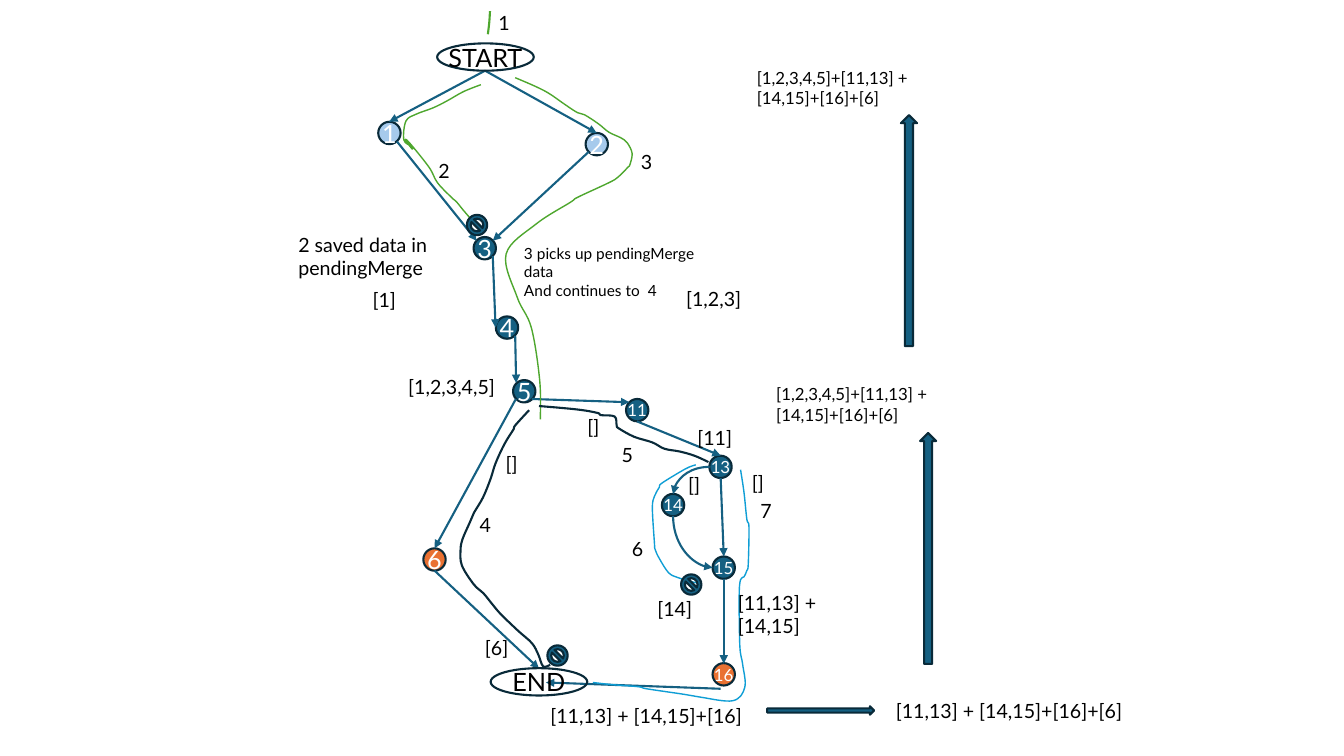
from lxml.etree import SubElement as Sub
from pptx import Presentation as Deck
from pptx.dml.color import RGBColor as Rgb
from pptx.enum.shapes import MSO_CONNECTOR as Link, MSO_SHAPE as Geo
from pptx.enum.text import MSO_ANCHOR as Anchor, MSO_AUTO_SIZE as Fit, PP_ALIGN as Align
from pptx.oxml.ns import qn
from pptx.util import Pt

HUES = {"teal": "156082", "navy": "092A39", "pale": "A6CAEC", "orange": "E97132",
        "green": "4EA72E", "sky": "0F9ED5", "white": "FFFFFF", "black": "000000"}

NODES = [("3", 346.3, 177.3, "teal"), ("1", 278.2, 95, "pale"), ("2", 426.3, 103, "pale"),
         ("4", 362.2, 234, "teal"), ("14", 480.8, 360.8, "teal"), ("5", 374.5, 279.5, "teal"),
         ("11", 455.2, 293, "teal"), ("13", 514.7, 333.5, "teal"), ("15", 517, 405.5, "teal"),
         ("6", 310.4, 399.7, "orange"), ("16", 517, 481.7, "orange")]

EDGES = [(283.5, 101, 340.5, 172), (420.5, 108.5, 352, 172), (352, 183, 354, 234),
         (368, 240, 368.7, 273.5), (380, 285, 449.5, 287.3), (455, 301, 514.8, 325.5),
         (514.8, 341.5, 517, 397.5), (517, 413.5, 517, 474), (368.5, 285, 310.4, 391.7),
         (346.5, 50.5, 278, 87), (346.5, 50.5, 426.2, 95), (310.4, 407.6, 385, 477.5),
         (514.8, 492, 390, 487.5)]

BENDS = [((507, 333.5, 480.8, 353), "a:tailEnd"), ((509, 405.5, 480.8, 368.5), "a:headEnd")]

TRAILS = [
    ("green", 1.5, [(350, 8), (349.5, 16), (348.5, 24.5)]),
    ("green", 1, [(343.5, 60.5), (331, 65.5), (319.5, 72), (309.5, 77), (297.5, 81.5),
                  (290, 86.5), (288.5, 100), (294, 104.5), (294.5, 106.5), (289.5, 100),
                  (292.5, 102), (306.5, 119.5), (312.5, 130.5), (322.5, 141), (326, 144),
                  (330, 149), (335.5, 155.5), (340.5, 162), (344, 165)]),
    ("green", 1, [(368, 55.5), (383, 62), (392.5, 67), (404, 75), (412.5, 80.5),
                  (417.5, 82), (427.5, 88.5), (435, 94.5), (443.5, 98.5), (448, 102),
                  (451.5, 109.5), (450, 117.5), (448.5, 119.5), (441.5, 126.5),
                  (435, 130.5), (412.5, 141), (407.5, 144.5), (383, 160), (361.5, 181.5),
                  (369.5, 212.5), (379.5, 234), (385.5, 271.5), (386, 299.5)]),
    ("navy", 1.5, [(378, 293), (368, 304), (367, 306.5), (360.5, 317), (354, 331),
                   (350.5, 342), (345, 355.5), (338.5, 366.5), (335.5, 373.5),
                   (330.5, 385), (329, 393), (330, 404), (338.5, 417.5), (345.5, 424),
                   (352, 432), (358, 439), (370, 450.5), (380, 459.5), (384.5, 467.5),
                   (388, 476), (393, 475)]),
    ("navy", 1.5, [(385, 290), (412.5, 292.5), (427, 295), (429, 296.5), (439, 297.5),
                   (440.5, 304), (442, 306), (453, 312), (466, 316), (474.5, 320.5),
                   (485.5, 322.5), (496, 325.5), (506, 330)]),
    ("sky", 1, [(497, 332), (489.5, 335), (473, 345), (471, 348), (467.5, 354.5),
                (466, 363), (467.5, 388), (468, 392.5), (471, 399), (477.5, 409),
                (484, 412.5), (496, 416), (501, 416)]),
    ("sky", 1, [(529, 335.5), (531.5, 352), (533.5, 371), (535, 376.5), (534.5, 403),
                (533.5, 407.5), (531.5, 412), (529, 414), (528, 426), (528.5, 461.5),
                (530.5, 474.5), (532, 491), (523.5, 500.5), (500.5, 498), (489, 496),
                (462, 492), (456, 490.5), (437, 489), (423.5, 487.5)])]

SUM = "[1,2,3,4,5]+[11,13] + [14,15]+[16]+[6]"
NOTES = [("1", 349, 4.5, 22, 14), ("2", 306, 110, 22, 14),
         ("2 saved data in pendingMerge", 206, 162.5, 132, 14), ("3", 450.7, 103.3, 15, 14),
         ("3 picks up pendingMerge data\nAnd continues to  4", 367.2, 170.5, 143, 11),
         ("4", 335.5, 362.5, 15, 14), ("5", 437, 313, 15, 14), ("6", 444.3, 380, 15, 14),
         ("7", 536, 353, 15, 14), ("[1]", 259, 202, 38, 14),
         ("[1,2,3]", 483, 201.3, 65, 14), ("[1,2,3,4,5]", 284.5, 264, 91, 14),
         ("[]", 354, 319.5, 23, 14), ("[6]", 339.3, 451, 52.5, 14), ("[]", 412.5, 292.5, 23, 14),
         ("[11]", 491, 300.5, 43, 14), ("[]", 484.5, 334, 23, 14), ("[]", 530, 332.5, 23, 14),
         ("[14]", 462.4, 422.5, 40.5, 14), ("[11,13] + [14,15]", 520, 418.2, 113, 14),
         ("[11,13] + [14,15]+[16]", 386, 499, 177, 14),
         ("[11,13] + [14,15]+[16]+[6]", 632.8, 495.5, 177, 14),
         (SUM, 547.3, 270.9, 206, 12), (SUM, 533.5, 44.5, 206, 12)]

STOPS = [(333.5, 153.5), (391, 461), (486.5, 410.3)]
ARROWS = [(580.5, 386, 165, 11.5, 270), (548, 504.5, 76.4, 6, 0),
          (566.8, 159, 165, 11.5, 270)]


def tint(name):
    """Give the colour that a name stands for."""
    return Rgb.from_string(HUES[name])


def draw(line, hue, width):
    """Colour a line and set its width."""
    line.color.rgb = tint(hue)
    line.width = Pt(width)


def put(frame, text, size, hue, align, **form):
    """Write text into a frame with one format."""
    frame.text = text
    for key, val in form.items():
        setattr(frame, key, val)
    for para in frame.paragraphs:
        para.alignment = align
        for run in para.runs:
            run.font.color.rgb = tint(hue)
            for key, val in {"name": "Lato", "size": Pt(size)}.items():
                setattr(run.font, key, val)


def block(slide, geo, box, fill="teal", turn=0):
    """Add an outlined shape, filled if a colour is given."""
    shape = slide.shapes.add_shape(geo, *map(Pt, box))
    shape.shadow.inherit = False
    shape.rotation = turn
    if fill:
        shape.fill.solid()
        shape.fill.fore_color.rgb = tint(fill)
    else:
        shape.fill.background()
    draw(shape.line, "navy", 1.5)
    return shape


def oval(slide, text, box, size, hue, fill=None):
    """Add a labelled oval."""
    shape = block(slide, Geo.OVAL, box, fill)
    put(shape.text_frame, text, size, hue, Align.CENTER,
        word_wrap=False, vertical_anchor=Anchor.MIDDLE)


def edge(slide, ends, kind=Link.STRAIGHT, tip="a:tailEnd"):
    """Add an arrow, straight or bent once."""
    line = slide.shapes.add_connector(kind, *map(Pt, ends))
    draw(line.line, "teal", 1.5)
    props = line._element.spPr
    if kind == Link.CURVE:
        props.find(qn("a:prstGeom")).set("prst", "curvedConnector2")
    Sub(props.find(qn("a:ln")), qn(tip), type="triangle")
    Sub(props, qn("a:effectLst"))


def bend(shape):
    """Turn the straight segments of a freeform into smooth curves."""
    tree = shape._element
    dots = [(int(dot.get("x")), int(dot.get("y"))) for dot in tree.iter(qn("a:pt"))]
    ends = [dots[0], *dots, dots[-1]]
    quads = zip(ends, ends[1:], ends[2:], ends[3:])
    for part, quad in zip(list(tree.iter(qn("a:lnTo"))), quads):
        pulls = [(b + (c - a) // 6, c - (d - b) // 6, c) for a, b, c, d in zip(*quad)]
        part.tag = qn("a:cubicBezTo")
        part.remove(part[0])
        for x, y in zip(*pulls):
            Sub(part, qn("a:pt"), x=str(x), y=str(y))


def trail(slide, hue, width, dots):
    """Add a hand-drawn curve."""
    first, *rest = [(Pt(x), Pt(y)) for x, y in dots]
    pen = slide.shapes.build_freeform(*first)
    pen.add_line_segments(rest, close=False)
    shape = pen.convert_to_shape()
    shape.shadow.inherit = False
    shape.fill.background()
    draw(shape.line, hue, width)
    bend(shape)


def note(slide, text, left, top, width, size):
    """Add a text box that wraps."""
    box = slide.shapes.add_textbox(Pt(left), Pt(top), Pt(width), Pt(size + 10))
    put(box.text_frame, text, size, "black", Align.LEFT,
        word_wrap=True, auto_size=Fit.SHAPE_TO_FIT_TEXT)


def main():
    """Build the slide and save it."""
    deck = Deck()
    deck.slide_width, deck.slide_height = Pt(960), Pt(540)
    slide = deck.slides.add_slide(deck.slide_layouts[6])
    for text, x, y, fill in NODES:
        size = 18 if len(text) == 1 else 12
        oval(slide, text, (x - 8, y - 8, 16, 16), size, "white", fill)
    for ends in EDGES:
        edge(slide, ends)
    for ends, tip in BENDS:
        edge(slide, ends, Link.CURVE, tip)
    for text, left, top in [("START", 312.3, 31), ("END", 350.5, 477.3)]:
        oval(slide, text, (left, top, 69, 19.5), 18, "black")
    for item in TRAILS:
        trail(slide, *item)
    for item in NOTES:
        note(slide, *item)
    for left, top in STOPS:
        block(slide, Geo.NO_SYMBOL, (left, top, 14.5, 14.5))
    for *box, turn in ARROWS:
        block(slide, Geo.RIGHT_ARROW, box, turn=turn)
    deck.save("out.pptx")


if __name__ == "__main__":
    main()
